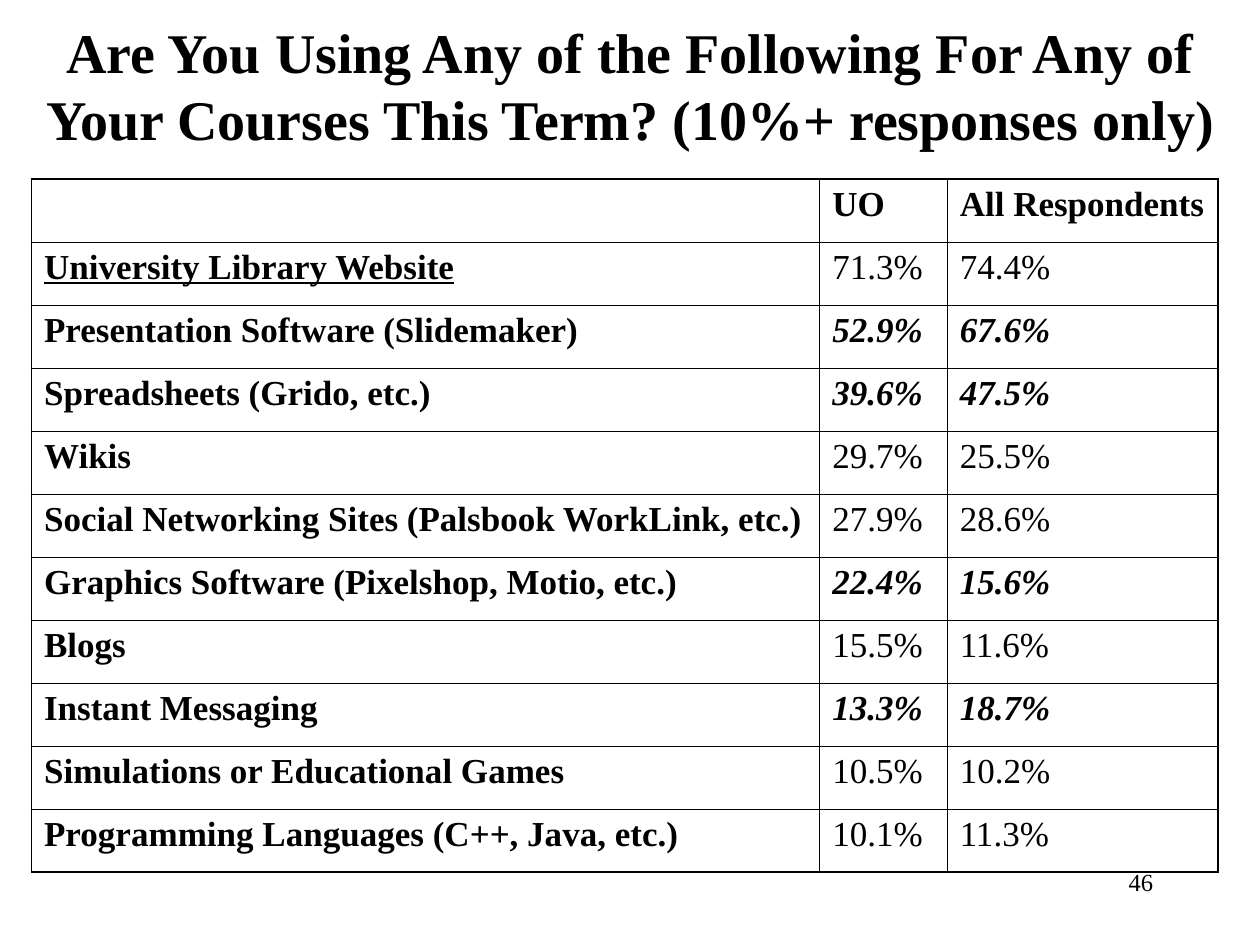
from dataclasses import dataclass

from lxml.etree import SubElement
from pptx import Presentation
from pptx.dml.color import RGBColor
from pptx.enum.text import MSO_ANCHOR, PP_ALIGN
from pptx.oxml.ns import qn
from pptx.util import Inches, Pt


@dataclass(frozen=True)
class Theme:
    font: str = "Times New Roman"
    ink: str = "000000"
    title_size: int = 32
    table_size: int = 20
    number_size: int = 14
    inner_line: float = 0.45
    outer_line: float = 1.08


THEME = Theme()

TITLE = "Are You Using Any of the Following For Any of Your Courses This Term? (10%+ responses only)"
HEADINGS = ("", "UO", "All Respondents")
RESPONSES = (
    ("University Library Website", "71.3%", "74.4%"),
    ("Presentation Software (Slidemaker)", "52.9%", "67.6%"),
    ("Spreadsheets (Grido, etc.)", "39.6%", "47.5%"),
    ("Wikis", "29.7%", "25.5%"),
    ("Social Networking Sites (Palsbook WorkLink, etc.)", "27.9%", "28.6%"),
    ("Graphics Software (Pixelshop, Motio, etc.)", "22.4%", "15.6%"),
    ("Blogs", "15.5%", "11.6%"),
    ("Instant Messaging", "13.3%", "18.7%"),
    ("Simulations or Educational Games", "10.5%", "10.2%"),
    ("Programming Languages (C++, Java, etc.)", "10.1%", "11.3%"),
)
UNDERLINED_ROWS = {1}
EMPHASIZED_ROWS = {2, 3, 6, 8}
COLUMN_WIDTHS = (6.25, 1.01, 2.15)


def write_text(text_frame, text, size, alignment=PP_ALIGN.LEFT, bold=False, italic=False, underline=False):
    text_frame.text = text
    paragraph = text_frame.paragraphs[0]
    paragraph.alignment = alignment
    for run in paragraph.runs:
        font = run.font
        font.name = THEME.font
        font.size = Pt(size)
        font.bold = bold
        font.italic = italic
        font.underline = underline
        font.color.rgb = RGBColor.from_string(THEME.ink)


def draw_borders(cell, outer_sides):
    properties = cell._tc.get_or_add_tcPr()
    for side in "LRTB":
        width = THEME.outer_line if side in outer_sides else THEME.inner_line
        line = SubElement(properties, qn(f"a:ln{side}"), w=str(Pt(width)))
        fill = SubElement(line, qn("a:solidFill"))
        SubElement(fill, qn("a:srgbClr"), val=THEME.ink)


def add_title(slide, left, top, width, height):
    title = slide.shapes.title
    title.left, title.top, title.width, title.height = left, top, width, height
    title.text_frame.vertical_anchor = MSO_ANCHOR.MIDDLE
    write_text(title.text_frame, TITLE, THEME.title_size, PP_ALIGN.CENTER, bold=True)


def add_response_table(slide, left, top, width, height):
    rows = (HEADINGS, *RESPONSES)
    last_row, last_column = len(rows) - 1, len(HEADINGS) - 1
    table = slide.shapes.add_table(len(rows), len(HEADINGS), left, top, width, height).table
    table.first_row = False
    table.horz_banding = False
    for column, share in zip(table.columns, COLUMN_WIDTHS):
        column.width = int(width * share / sum(COLUMN_WIDTHS))
    for row_index, row in enumerate(rows):
        for column_index, text in enumerate(row):
            cell = table.cell(row_index, column_index)
            is_label = row_index == 0 or column_index == 0
            emphasized = row_index in EMPHASIZED_ROWS
            write_text(
                cell.text_frame,
                text,
                THEME.table_size,
                bold=is_label or emphasized,
                italic=emphasized and not is_label,
                underline=is_label and row_index in UNDERLINED_ROWS,
            )
            edges = {
                "L": column_index == 0,
                "R": column_index == last_column,
                "T": row_index == 0,
                "B": row_index == last_row,
            }
            draw_borders(cell, [side for side, is_outer in edges.items() if is_outer])
            cell.fill.background()


def add_page_number(slide, left, top, width, height):
    text_frame = slide.shapes.add_textbox(left, top, width, height).text_frame
    text_frame.word_wrap = True
    write_text(text_frame, "46", THEME.number_size, PP_ALIGN.RIGHT)


def main():
    presentation = Presentation()
    presentation.slide_width = Inches(10)
    presentation.slide_height = Inches(7.5)
    slide = presentation.slides.add_slide(presentation.slide_layouts[5])
    add_title(slide, Inches(0.17), Inches(0.17), Inches(9.67), Inches(1))
    add_response_table(slide, Inches(0.25), Inches(1.42), Inches(9.42), Inches(5.5))
    add_page_number(slide, Inches(7.17), Inches(6.83), Inches(2.08), Inches(0.5))
    presentation.save("out.pptx")


if __name__ == "__main__":
    main()
